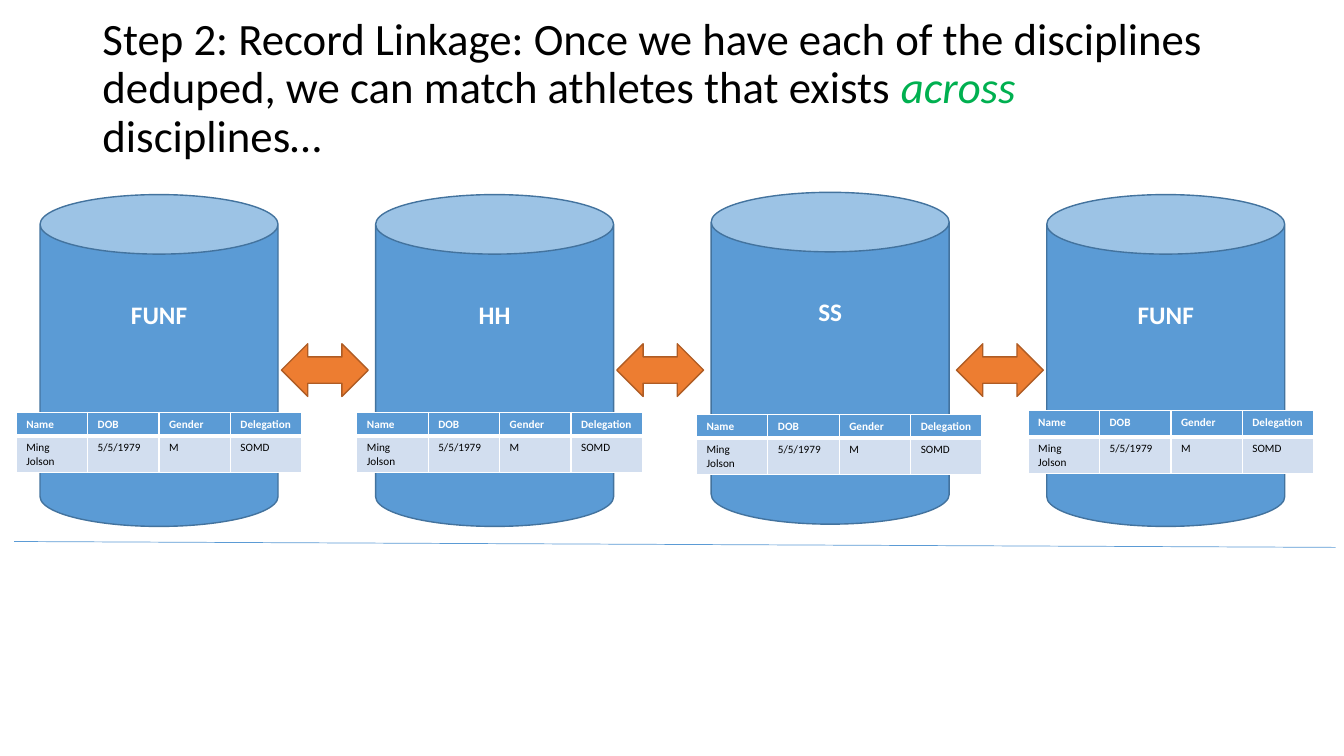
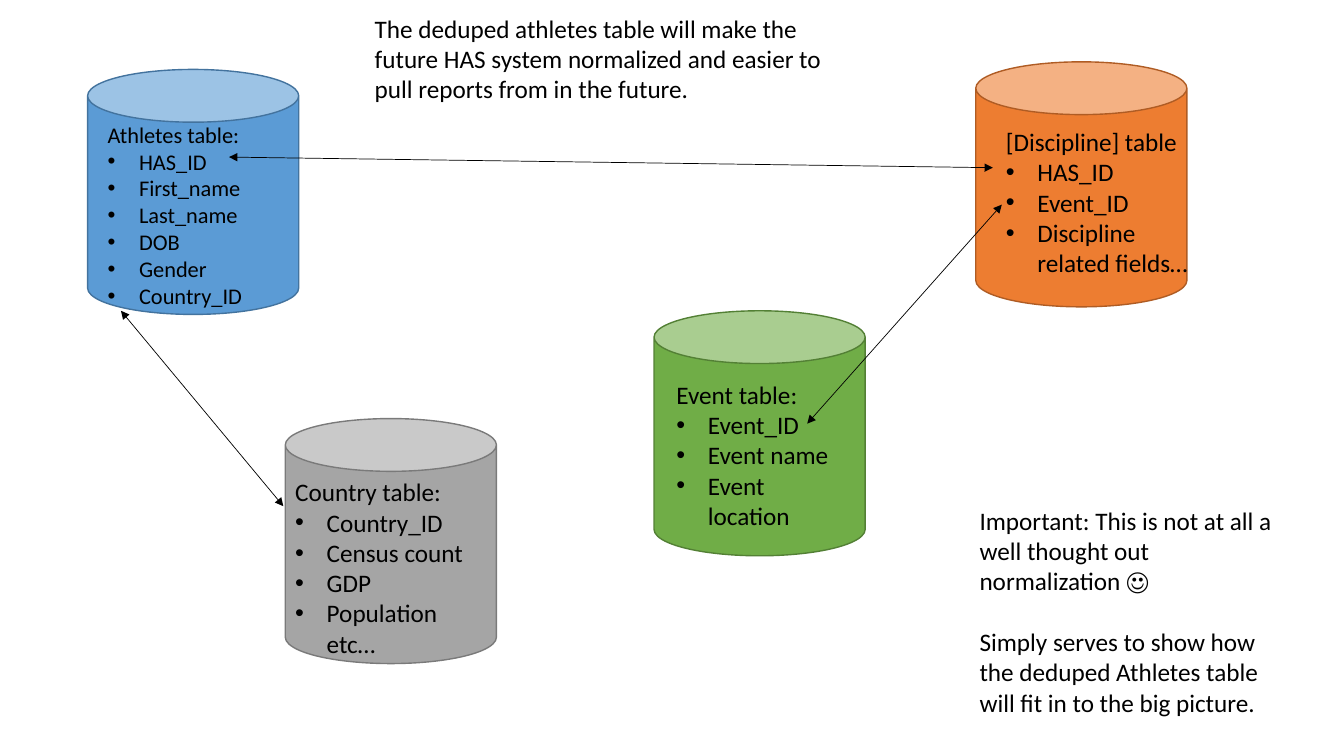
"""Build two slides on linking athlete records and normalizing their tables."""
from dataclasses import dataclass

from lxml import etree
from pptx import Presentation
from pptx.dml.color import RGBColor
from pptx.enum.shapes import MSO_CONNECTOR, MSO_SHAPE
from pptx.enum.text import MSO_ANCHOR, MSO_AUTO_SIZE, PP_ALIGN
from pptx.oxml.ns import qn
from pptx.util import Pt

CAN, DOUBLE_ARROW = MSO_SHAPE.CAN, MSO_SHAPE.LEFT_RIGHT_ARROW
STRAIGHT = MSO_CONNECTOR.STRAIGHT
LEFT, CENTER = PP_ALIGN.LEFT, PP_ALIGN.CENTER
MIDDLE, NO_AUTOFIT = MSO_ANCHOR.MIDDLE, MSO_AUTO_SIZE.NONE


@dataclass(frozen=True)
class Theme:
    font: str = "Calibri"
    title: int = 32
    body: int = 18
    small: int = 16
    cell: int = 8
    black: RGBColor = RGBColor(0x00, 0x00, 0x00)
    white: RGBColor = RGBColor(0xFF, 0xFF, 0xFF)
    accent: RGBColor = RGBColor(0x00, 0xB0, 0x50)
    pale: RGBColor = RGBColor(0xD2, 0xDE, 0xEF)
    blue: tuple = (RGBColor(0x5B, 0x9B, 0xD5), RGBColor(0x43, 0x73, 0x9E))
    orange: tuple = (RGBColor(0xED, 0x7D, 0x31), RGBColor(0xAF, 0x5C, 0x24))
    green: tuple = (RGBColor(0x70, 0xAD, 0x47), RGBColor(0x53, 0x80, 0x35))
    gray: tuple = (RGBColor(0xA5, 0xA5, 0xA5), RGBColor(0x7A, 0x7A, 0x7A))


THEME = Theme()


def draw_shape(shapes, preset, box, colors):
    shape = shapes.add_shape(preset, *map(Pt, box))
    shape.shadow.inherit = False
    shape.fill.solid()
    shape.fill.fore_color.rgb, shape.line.color.rgb = colors
    shape.line.width = Pt(1)


def write(frame, lines, size, color=THEME.black, bold=False, align=LEFT):
    frame.word_wrap = True
    frame.text = "\n".join(lines)
    for paragraph in frame.paragraphs:
        paragraph.alignment = align
        for run in paragraph.runs:
            run.font.name, run.font.size = THEME.font, Pt(size)
            run.font.color.rgb, run.font.bold = color, bold


prs = Presentation()
prs.slide_width, prs.slide_height = Pt(960), Pt(540)

linkage = prs.slides.add_slide(prs.slide_layouts[5])
title = linkage.shapes.title
title.left, title.top, title.width, title.height = map(Pt, (66, 28.8, 828, 104.4))
heading = title.text_frame
heading.auto_size, heading.vertical_anchor = NO_AUTOFIT, MIDDLE
heading.margin_bottom = Pt(38)
write(heading, ["Step 2: Record Linkage: Once we have each of the disciplines deduped, "
                "we can match athletes that exists "], THEME.title)
sentence = heading.paragraphs[0]
sentence.line_spacing = 0.9
for words, color, italic in (("across ", THEME.accent, True),
                             ("disciplines…", THEME.black, False)):
    run = sentence.add_run()
    run.text = words
    run.font.name, run.font.size = THEME.font, Pt(THEME.title)
    run.font.color.rgb, run.font.italic = color, italic

disciplines = (("FUNF", 139), ("HH", 139), ("SS", 137.4), ("FUNF", 139))
for index, (discipline, top) in enumerate(disciplines):
    left = 28.6 + 239.7 * index
    database = linkage.shapes.add_group_shape().shapes
    draw_shape(database, CAN, (left, top, 170, 237), THEME.blue)
    label = database.add_textbox(Pt(left + 25.2), Pt(top + 71), Pt(119.6), Pt(29))
    write(label.text_frame, [discipline], THEME.body, THEME.white, True, CENTER)

for left in (201, 440.6, 683.2):
    draw_shape(linkage.shapes, DOUBLE_ARROW, (left, 245.6, 62, 37.6), THEME.orange)

records = (("Name", "DOB", "Gender", "Delegation"),
           ("Ming Jolson", "5/5/1979", "M", "SOMD"))
row_styles = ((THEME.blue[0], THEME.white, True, (1, 1, 1, 3)),
              (THEME.pale, THEME.black, False, (1, 1, 3, 1)))
for left, top, header_height in ((11.6, 294.5, 15.2), (254.9, 294.5, 15.2),
                                 (497.5, 296, 15.2), (734.4, 293.4, 18.7)):
    heights = (header_height, 25.4)
    athlete = linkage.shapes.add_table(2, 4, Pt(left), Pt(top), Pt(204), Pt(sum(heights))).table
    athlete.horz_banding = False
    for column in athlete.columns:
        column.width = Pt(51)
    for row, height, values, style in zip(athlete.rows, heights, records, row_styles):
        row.height = Pt(height)
        fill, color, bold, borders = style
        for cell, value in zip(row.cells, values):
            write(cell.text_frame, [value], THEME.cell, color, bold)
            properties = cell._tc.get_or_add_tcPr()
            for side, width in zip(("lnL", "lnR", "lnT", "lnB"), borders):
                border = etree.SubElement(properties, qn(f"a:{side}"), w=str(Pt(width)))
                paint = etree.SubElement(border, qn("a:solidFill"))
                etree.SubElement(paint, qn("a:srgbClr"), val=str(THEME.white))
            cell.fill.solid()
            cell.fill.fore_color.rgb = fill

schema = prs.slides.add_slide(prs.slide_layouts[6])
entities = (
    ((62.6, 49.6), (69.8, 82.8, 136, 163), THEME.blue, THEME.small,
     ("Athletes table:", "HAS_ID", "First_name", "Last_name", "DOB", "Gender", "Country_ID")),
    ((697, 44.2), (711.4, 86.8, 144.8, 138), THEME.orange, THEME.body,
     ("[Discipline] table", "HAS_ID", "Event_ID", "Discipline related fields…")),
    ((467.2, 222), (476, 267.4, 138.2, 116.6), THEME.green, THEME.body,
     ("Event table:", "Event_ID", "Event name", "Event location")),
    ((203.8, 299), (203.8, 337, 139, 160), THEME.gray, THEME.body,
     ("Country table:", "Country_ID", "Census count", "GDP", "Population etc…")),
)
for corner, fields_box, colors, size, lines in entities:
    entity = schema.shapes.add_group_shape().shapes
    draw_shape(entity, CAN, (*corner, 150.8, 175), colors)
    fields = entity.add_textbox(*map(Pt, fields_box)).text_frame
    write(fields, lines, size)
    for field in fields.paragraphs[1:]:
        properties = field._p.get_or_add_pPr()
        properties.set("marL", str(Pt(22.5)))
        properties.set("indent", str(-Pt(22.5)))
        etree.SubElement(properties, qn("a:buFont"), typeface="Arial")
        etree.SubElement(properties, qn("a:buChar"), char="•")

remarks = (
    ((260.6, 5.8, 353.6, 72.7),
     ("The deduped athletes table will make the future HAS system normalized "
      "and easier to pull reports from in the future.",)),
    ((692.6, 357.2, 229, 160),
     ("Important: This is not at all a well thought out normalization ☺",
      "Simply serves to show how the deduped Athletes table will fit in to the big picture.")),
)
for box, lines in remarks:
    remark = schema.shapes.add_textbox(*map(Pt, box)).text_frame
    write(remark, lines, THEME.body)
    for paragraph in remark.paragraphs[1:]:
        paragraph.space_before = Pt(22)

links = (
    (linkage, (10.2, 386.8, 954, 391), THEME.blue[0], ()),
    (schema, (163.6, 112.2, 709.2, 119.8), THEME.black, ("headEnd", "tailEnd")),
    (schema, (86.4, 222, 202.4, 361.6), THEME.black, ("headEnd", "tailEnd")),
    (schema, (576.6, 302.6, 715.6, 146.2), THEME.black, ("headEnd", "tailEnd")),
)
for slide, ends, color, arrowheads in links:
    link = slide.shapes.add_connector(STRAIGHT, *map(Pt, ends))
    link.line.color.rgb, link.line.width = color, Pt(0.5)
    for arrowhead in arrowheads:
        etree.SubElement(link.line._get_or_add_ln(), qn(f"a:{arrowhead}"), type="triangle")
    etree.SubElement(link._element.spPr, qn("a:effectLst"))

prs.save("out.pptx")
